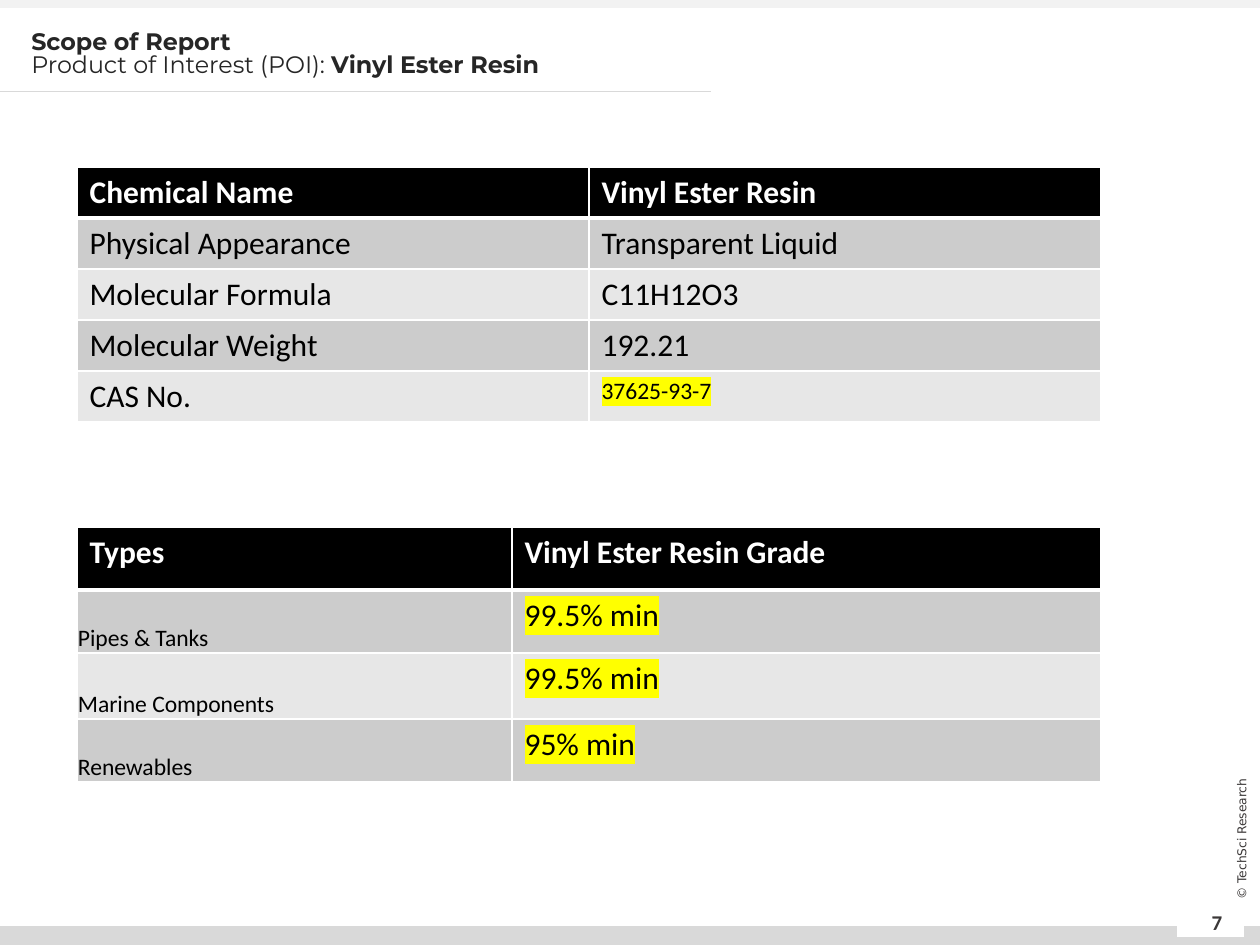
"""Build the scope-of-report slide with its two product tables."""
from dataclasses import dataclass
from typing import Any, NamedTuple, Optional

from lxml.etree import SubElement
from pptx import Presentation
from pptx.dml.color import RGBColor as RGB
from pptx.enum.shapes import MSO_CONNECTOR as CONN, MSO_SHAPE as SHAPE
from pptx.enum.text import MSO_ANCHOR as ANCHOR, PP_ALIGN as ALIGN
from pptx.oxml import parse_xml
from pptx.oxml.ns import nsdecls, qn
from pptx.util import Emu, Pt


@dataclass(frozen=True)
class Theme:
    white: str = "FFFFFF"
    black: str = "000000"
    rule: str = "D9D9D9"
    top_bar: str = "F2F2F2"
    title: str = "262626"
    footer: str = "3B3838"
    bands: tuple = ("CCCCCC", "E7E7E7")
    mark: str = "FFFF00"
    body_font: str = "Calibri"
    title_font: str = "Montserrat"
    credit_font: str = "DejaVu Sans"
    title_size: float = 13.6
    cell_size: float = 18
    small_size: float = 13.5
    number_size: float = 12
    credit_size: float = 7
    border: float = 1
    header_border: float = 3


class Box(NamedTuple):
    x: int
    y: int
    w: int
    h: int


class Run(NamedTuple):
    text: str
    size: float
    font: str
    color: str
    bold: bool = False
    mark: Optional[str] = None


class Cell(NamedTuple):
    text: str
    small: bool = False
    marked: bool = False
    low: bool = False
    middle: bool = False


class Grid(NamedTuple):
    x: int
    y: int
    cols: list[int]
    heights: list[int]
    rows: list[tuple[Cell, Cell]]


T = Theme()
BARS = [
    (Box(0, 926, 1260, 19), T.rule),
    (Box(1177, 910, 67, 27), T.white),
    (Box(0, 0, 1260, 8), T.top_bar),
]
TABLES = [
    Grid(77, 167, [512, 512], [51] * 5, [
        (Cell("Chemical Name"), Cell("Vinyl Ester Resin")),
        (Cell("Physical Appearance"), Cell("Transparent Liquid")),
        (Cell("Molecular Formula"), Cell("C11H12O3", middle=True)),
        (Cell("Molecular Weight"), Cell("192.21")),
        (Cell("CAS No."), Cell("37625-93-7", small=True, marked=True)),
    ]),
    Grid(77, 527, [435, 589], [63, 63, 66, 63], [
        (Cell("Types"), Cell("Vinyl Ester Resin Grade")),
        (Cell("Pipes & Tanks", small=True, low=True), Cell("99.5% min", marked=True)),
        (Cell("Marine Components", small=True, low=True), Cell("99.5% min", marked=True)),
        (Cell("Renewables", small=True, low=True), Cell("95% min", marked=True)),
    ]),
]


def px(n: int) -> Emu:
    return Emu(round(n * 914400 / 126))


def apply(obj: Any, **values: Any) -> None:
    for name, value in values.items():
        setattr(obj, name, value)


def add_run(p: Any, run: Run) -> None:
    r = p.add_run()
    r.text = run.text
    apply(r.font, size=Pt(run.size), name=run.font, bold=run.bold)
    r.font.color.rgb = RGB.from_string(run.color)
    if run.mark:
        fill = r.font._element.find(qn("a:solidFill"))
        fill.addnext(parse_xml(
            f'<a:highlight {nsdecls("a")}><a:srgbClr val="{run.mark}"/></a:highlight>'))


def add_bar(s: Any, box: Box, color: str) -> None:
    sp = s.shapes.add_shape(SHAPE.RECTANGLE, *map(px, box))
    sp.shadow.inherit = False
    sp.fill.solid()
    sp.fill.fore_color.rgb = RGB.from_string(color)
    sp.line.fill.background()


def add_rule(s: Any, x1: int, x2: int, y: int) -> None:
    line = s.shapes.add_connector(CONN.STRAIGHT, px(x1), px(y), px(x2), px(y))
    line.line.color.rgb = RGB.from_string(T.rule)
    line.line.width = Pt(0.5)
    SubElement(line._element.spPr, qn("a:effectLst"))


def add_text(s: Any, box: Box, lines: list[list[Run]], rotation: int = 0,
             frame: Optional[dict] = None, para: Optional[dict] = None) -> None:
    sp = s.shapes.add_textbox(*map(px, box))
    sp.rotation = rotation
    tf = sp.text_frame
    apply(tf, word_wrap=True, **(frame or {}))
    for i, runs in enumerate(lines):
        p = tf.add_paragraph() if i else tf.paragraphs[0]
        apply(p, **(para or {}))
        for run in runs:
            add_run(p, run)


def set_borders(cell: Any, top: float, bottom: float) -> None:
    widths = {"lnL": T.border, "lnR": T.border, "lnT": top, "lnB": bottom}
    tc_pr = cell._tc.get_or_add_tcPr()
    for i, (tag, width) in enumerate(widths.items()):
        tc_pr.insert(i, parse_xml(
            f'<a:{tag} {nsdecls("a")} w="{Pt(width)}"><a:solidFill>'
            f'<a:srgbClr val="{T.white}"/></a:solidFill></a:{tag}>'))


def fill_cell(cell: Any, content: Cell, row: int) -> None:
    header = row == 0
    cell.fill.solid()
    cell.fill.fore_color.rgb = RGB.from_string(T.black if header else T.bands[(row - 1) % 2])
    set_borders(cell, T.header_border if row == 1 else T.border,
                T.header_border if header else T.border)
    if content.low:
        apply(cell, vertical_anchor=ANCHOR.BOTTOM, margin_left=px(1),
              margin_right=px(1), margin_top=px(1), margin_bottom=0)
    elif content.middle:
        cell.vertical_anchor = ANCHOR.MIDDLE
    add_run(cell.text_frame.paragraphs[0], Run(
        content.text, T.small_size if content.small else T.cell_size, T.body_font,
        T.white if header else T.black, header, T.mark if content.marked else None))


def add_grid(s: Any, grid: Grid) -> None:
    size = px(sum(grid.cols)), px(sum(grid.heights))
    table = s.shapes.add_table(len(grid.rows), len(grid.cols),
                               px(grid.x), px(grid.y), *size).table
    for col, width in zip(table.columns, grid.cols):
        col.width = px(width)
    for i, (height, cells) in enumerate(zip(grid.heights, grid.rows)):
        table.rows[i].height = px(height)
        for j, content in enumerate(cells):
            fill_cell(table.cell(i, j), content, i)


def main() -> None:
    prs = Presentation()
    apply(prs, slide_width=px(1260), slide_height=px(945))
    s = prs.slides.add_slide(prs.slide_layouts[6])
    for box, color in BARS:
        add_bar(s, box, color)
    add_rule(s, 0, 711, 91)
    centred = {"alignment": ALIGN.CENTER}
    add_text(s, Box(1186, 897, 62, 50),
             [[Run("7", T.number_size, T.body_font, T.footer, True)]],
             frame={"vertical_anchor": ANCHOR.MIDDLE}, para=centred)
    add_text(s, Box(1166, 829, 151, 20),
             [[Run("© TechSci Research", T.credit_size, T.credit_font, T.footer)]],
             rotation=270, para=centred,
             frame={"vertical_anchor": ANCHOR.MIDDLE, "margin_top": 0, "margin_bottom": 0})
    title = T.title_size, T.title_font, T.title
    add_text(s, Box(19, 26, 1084, 63), [
        [Run("Scope of Report", *title, True)],
        [Run("Product of Interest (POI): ", *title), Run("Vinyl Ester Resin", *title, True)],
    ], para={"line_spacing": 0.8})
    for grid in TABLES:
        add_grid(s, grid)
    prs.save("out.pptx")


if __name__ == "__main__":
    main()
